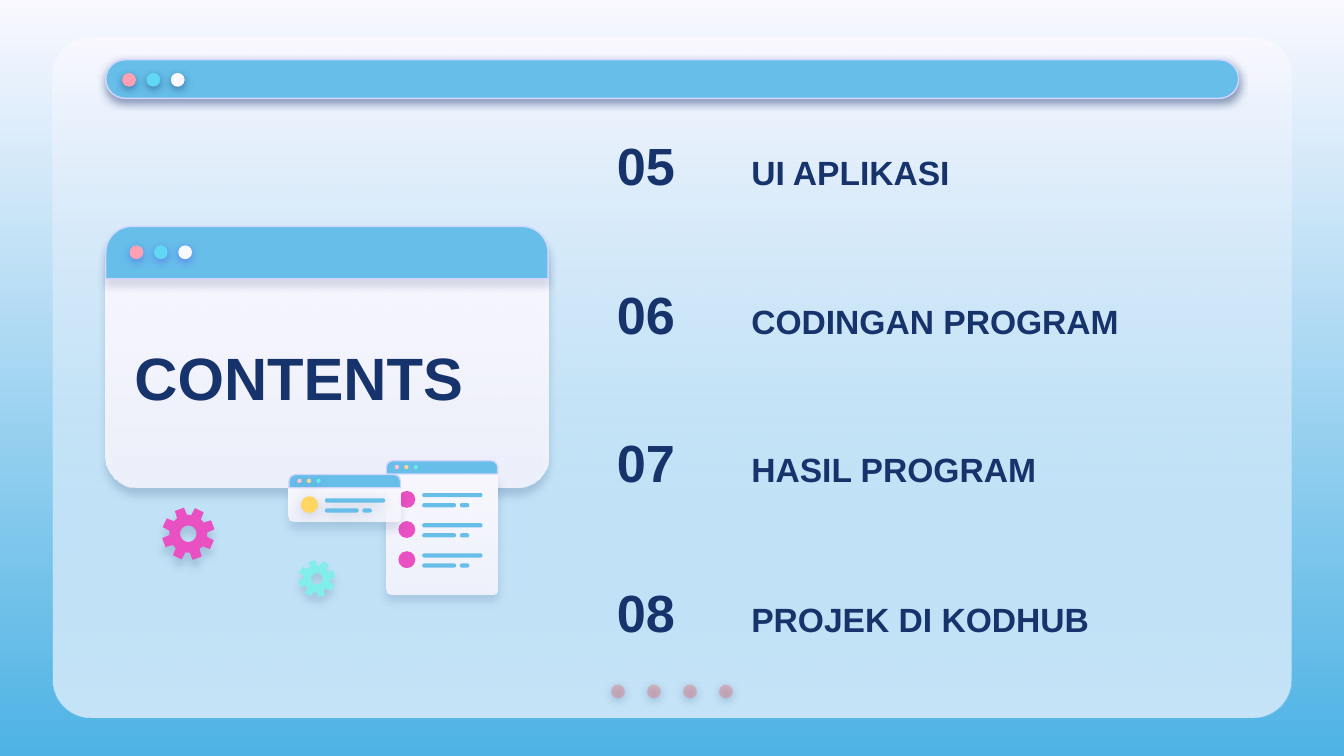
from math import cos, radians, sin

from lxml.etree import SubElement
from pptx import Presentation
from pptx.dml.color import RGBColor
from pptx.enum.shapes import MSO_SHAPE as Kind
from pptx.enum.text import MSO_ANCHOR as Anchor, PP_ALIGN as Align
from pptx.oxml.ns import qn
from pptx.util import Cm, Pt

COLOURS = {
    "white": "F9F8FF", "sky": "4EB3E4", "blue": "66BEE9", "edge": "D2D6FF",
    "navy": "17336B", "indigo": "5352EE", "rose": "E27B83", "pink": "FDA0B4",
    "cyan": "60D8F4", "blush": "FFC3D0", "sand": "F5D79B", "aqua": "6AEBE7",
    "magenta": "E951C2", "yellow": "FFD65F", "mint": "81EEEB",
}
RGB = {name: RGBColor.from_string(code) for name, code in COLOURS.items()}


def style(shape, colours, alpha=100, edge=None, shadow=None):
    fill = shape.fill
    if isinstance(colours, tuple):
        fill.gradient()
        fill.gradient_angle = 270
        for stop, colour in zip(fill.gradient_stops, colours):
            stop.color.rgb = RGB[colour]
    else:
        fill.solid()
        fill.fore_color.rgb = RGB[colours]
    if alpha < 100:
        last = list(shape._element.spPr.iter(qn("a:srgbClr")))[-1]
        SubElement(last, qn("a:alpha"), val=str(alpha * 1000))
    if edge:
        shape.line.color.rgb = RGB[edge]
        shape.line.width = Pt(0.75)
    else:
        shape.line.fill.background()
    shape.shadow.inherit = False
    if shadow:
        tint, strength, blur, distance = shadow
        effects = shape._element.spPr.find(qn("a:effectLst"))
        outer = SubElement(effects, qn("a:outerShdw"), blurRad=str(Pt(blur)),
                           dist=str(Pt(distance)), dir="5400000",
                           algn="bl", rotWithShape="0")
        colour = SubElement(outer, qn("a:srgbClr"), val=COLOURS[tint])
        SubElement(colour, qn("a:alpha"), val=str(strength * 1000))


def add(kind, left, top, width, height, colours, corners=(), **looks):
    shape = page.shapes.add_shape(kind, Cm(left), Cm(top), Cm(width), Cm(height))
    for index, corner in enumerate(corners):
        shape.adjustments[index] = corner
    style(shape, colours, **looks)


deck = Presentation()
deck.slide_width, deck.slide_height = Cm(25.4), Cm(14.29)
page = deck.slides.add_slide(deck.slide_layouts[5])
backdrop = page.background.fill
backdrop.gradient()
backdrop.gradient_angle = 270
for stop, colour in zip(backdrop.gradient_stops, ("white", "sky")):
    stop.color.rgb = RGB[colour]

panel = (Kind.ROUNDED_RECTANGLE, 1, 0.72, 23.41, 12.85)
add(*panel, "white", [0.056])
add(*panel, ("white", "blue"), [0.056], alpha=34)

dot_shadow = ("navy", 50, 4.5, 1.5)
for index in range(4):
    add(Kind.OVAL, 11.55 + 0.68 * index, 12.94, 0.26, 0.26, "rose",
        alpha=44, shadow=dot_shadow)

add(Kind.ROUNDED_RECTANGLE, 2, 1.13, 21.41, 0.73, "blue", [0.5],
    edge="edge", shadow=dot_shadow)
add(Kind.ROUNDED_RECTANGLE, 2, 4.28, 8.36, 4.94, ("white", "white"), [0.124],
    alpha=86, shadow=("navy", 22, 4.5, 3.8))
add(Kind.ROUND_2_SAME_RECTANGLE, 2, 4.28, 8.36, 0.99, "blue", [0.5, 0],
    edge="edge", shadow=("navy", 15, 4.5, 3.8))
for left, top, tint in ((2.31, 1.38, "navy"), (2.45, 4.64, "indigo")):
    for index, colour in enumerate(("pink", "cyan", "white")):
        add(Kind.OVAL, left + 0.46 * index, top, 0.26, 0.26, colour,
            shadow=(tint, 50, 4.5, 1.5))

title = page.shapes.title
page.shapes._spTree.append(title._element)
texts = [(title, 2.29, 5.65, 7.87, 2.95, [("CONTENTS", 32)])]
entries = ("UI APLIKASI", "CODINGAN PROGRAM", "HASIL PROGRAM", "PROJEK DI KODHUB")
entry_tops = (1.91, 4.72, 7.52, 10.37)
for number, (entry, top) in enumerate(zip(entries, entry_tops), 5):
    box = page.shapes.add_textbox(0, 0, 0, 0)
    texts.append((box, 11.41, top, 11.86, 2.4, [(f"0{number}\t", 28), (entry, 18)]))

for box, left, top, width, height, spans in texts:
    box.left, box.top, box.width, box.height = map(Cm, (left, top, width, height))
    frame = box.text_frame
    frame.word_wrap = True
    frame.vertical_anchor = Anchor.MIDDLE
    frame.margin_left = frame.margin_right = Cm(0.25)
    frame.margin_top = frame.margin_bottom = Cm(0.25)
    para = frame.paragraphs[0]
    para.alignment = Align.LEFT
    if len(spans) > 1:
        properties = para._p.get_or_add_pPr()
        tabs = SubElement(properties, qn("a:tabLst"))
        SubElement(tabs, qn("a:tab"), pos=str(Cm(2.54)), algn="l")
    para.font.name = "Arial"
    para.font.bold = True
    para.font.color.rgb = RGB["navy"]
    for text, size in spans:
        span = para.add_run()
        span.text = text
        span.font.size = Pt(size)

windows = (
    (7.3, 8.71, 2.27, 0.06, "magenta", 3, 0.57, None, None),
    (5.46, 8.97, 0.64, 0.2, "yellow", 1, 0.41,
     ("navy", 17, 4.5, 2.2), ("navy", 18, 6.8, 1.5)),
)
for left, top, height, corner, disc, rows, offset, light_shadow, row_shadow in windows:
    add(Kind.ROUND_2_SAME_RECTANGLE, left, top + 0.25, 2.11, height,
        ("white", "white"), [0, corner], alpha=86, shadow=("navy", 15, 4.5, 4.5))
    add(Kind.ROUND_2_SAME_RECTANGLE, left, top, 2.11, 0.25, "blue", [0.5, 0],
        edge="edge")
    for index, colour in enumerate(("blush", "sand", "aqua")):
        add(Kind.OVAL, left + 0.16 + 0.18 * index, top + 0.08, 0.08, 0.08, colour,
            shadow=light_shadow)
    for index in range(rows):
        row_top = top + offset + 0.57 * index
        add(Kind.OVAL, left + 0.23, row_top, 0.32, 0.32, disc, shadow=row_shadow)
        for x, y, width in ((0.68, 0.04, 1.14), (0.68, 0.23, 0.64), (1.39, 0.23, 0.18)):
            add(Kind.ROUNDED_RECTANGLE, left + x, row_top + y, width, 0.08, "blue",
                [0.5], shadow=row_shadow)

gears = ((3.56, 10.09, 0.5, -20, "magenta", 4.5), (5.99, 10.94, 0.35, -15, "mint", 3.8))
for x, y, radius, turn, colour, distance in gears:
    teeth = [(turn + 45 * tooth + angle, reach) for tooth in range(8)
             for angle, reach in ((-16, 0.72), (-10.5, 1), (10.5, 1), (16, 0.72))]
    hole = [(-10 * step, 0.31) for step in range(36)]
    rim, bore = [[(Cm(x + radius * reach * sin(radians(angle))),
                   Cm(y - radius * reach * cos(radians(angle))))
                  for angle, reach in ring] for ring in (teeth, hole)]
    builder = page.shapes.build_freeform(*rim[0])
    builder.add_line_segments(rim[1:])
    builder.move_to(*bore[0])
    builder.add_line_segments(bore[1:])
    style(builder.convert_to_shape(), colour, shadow=("navy", 16, 4.5, distance))

deck.save("out.pptx")
